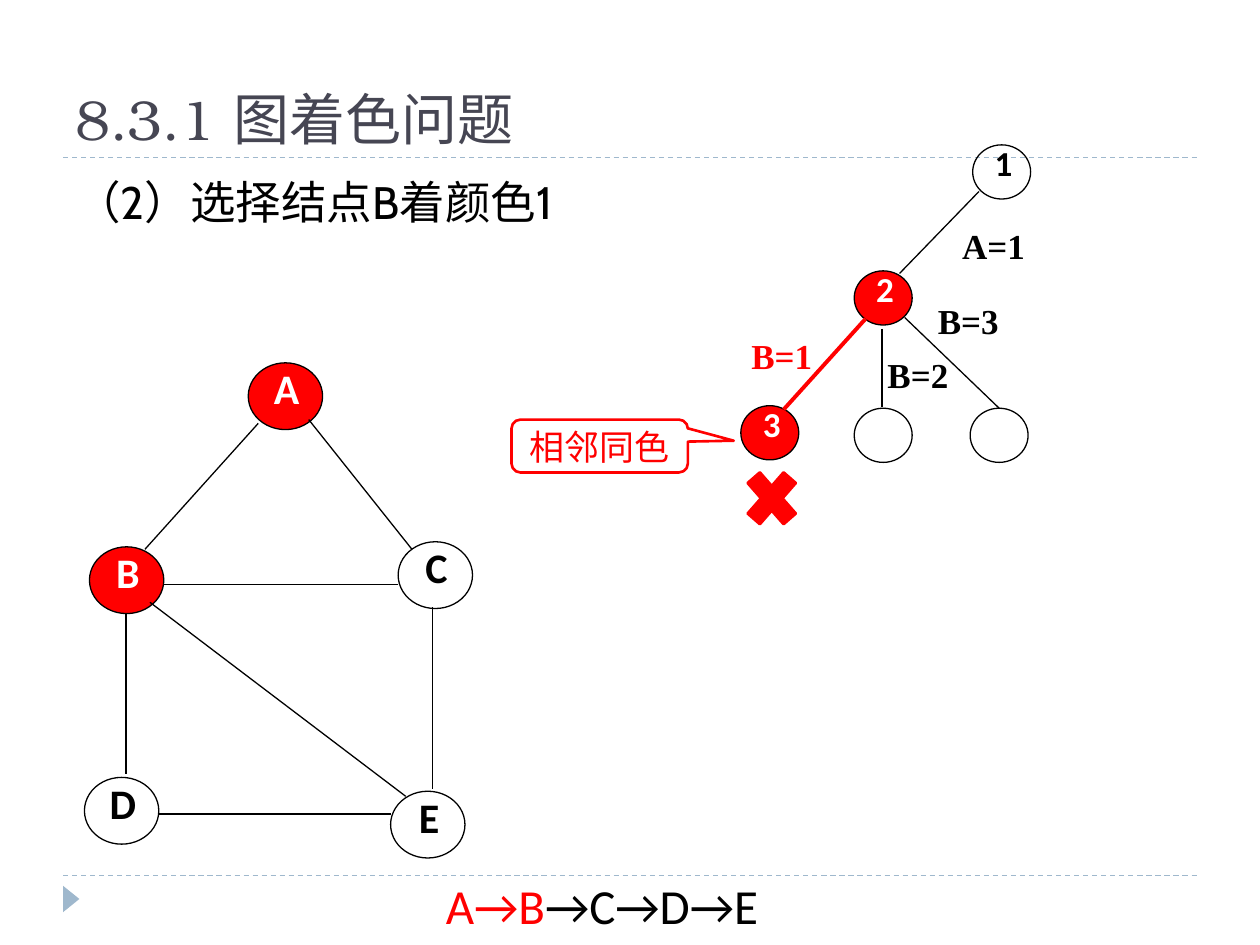
"""Build the graph colouring slide: a five-node graph beside its search tree."""
import pptx
import pptx.dml.color
import pptx.enum.dml
import pptx.enum.shapes
import pptx.enum.text
import pptx.oxml
import pptx.oxml.ns
import pptx.util

Inches = pptx.util.Inches
Pt = pptx.util.Pt
RGBColor = pptx.dml.color.RGBColor
Shape = pptx.enum.shapes.MSO_SHAPE
Anchor = pptx.enum.text.MSO_ANCHOR
Align = pptx.enum.text.PP_ALIGN

BLACK = RGBColor(0, 0, 0)
WHITE = RGBColor(255, 255, 255)
RED = RGBColor(255, 0, 0)
SLATE = RGBColor(0x46, 0x46, 0x53)
MIST = RGBColor(0x9F, 0xB8, 0xCD)


class Painter:
    def __init__(self, page):
        self.page = page
        self.heading_font = "TeX Gyre Bonum"
        self.body_font = "Cabin"
        self.node_font = "Calibri"
        self.label_font = "Times New Roman"

    def line(self, start, end, color=BLACK, width=0.75, dashed=False):
        ends = [Inches(value) for value in (*start, *end)]
        link = self.page.shapes.add_connector(
            pptx.enum.shapes.MSO_CONNECTOR.STRAIGHT, *ends)
        link.line.color.rgb = color
        link.line.width = Pt(width)
        if dashed:
            link.line.dash_style = pptx.enum.dml.MSO_LINE.DASH
        properties = link._element.spPr
        properties.append(properties.makeelement(pptx.oxml.ns.qn("a:effectLst"), {}))

    def shape(self, kind, frame, fill=None, line=None, width=0.75):
        item = self.page.shapes.add_shape(kind, *[Inches(value) for value in frame])
        item.shadow.inherit = False
        if fill is None:
            item.fill.background()
        else:
            item.fill.solid()
            item.fill.fore_color.rgb = fill
        if line is None:
            item.line.fill.background()
        else:
            item.line.color.rgb = line
            item.line.width = Pt(width)
        return item

    def fill_text(self, box, text, size, font, color, bold=False, align=Align.LEFT,
                  spacing=None, anchor=Anchor.TOP, insets=None, wrap=True):
        frame = box.text_frame
        frame.word_wrap = wrap
        frame.vertical_anchor = anchor
        if insets is not None:
            frame.margin_left = Inches(insets)
            frame.margin_top = frame.margin_right = frame.margin_bottom = 0
        frame.text = text
        para = frame.paragraphs[0]
        para.alignment = align
        if spacing:
            para.line_spacing = spacing
        for span in para.runs:
            self.style(span, size, font, color, bold)
        return para

    def style(self, span, size, font, color, bold=False):
        span.font.size = Pt(size)
        span.font.name = font
        span.font.bold = bold
        span.font.color.rgb = color

    def text(self, frame, text, size, font, color, **options):
        box = self.page.shapes.add_textbox(*[Inches(value) for value in frame])
        return self.fill_text(box, text, size, font, color, **options)

    def node(self, position, size, text="", visited=False, points=24, spacing=0.8,
             inset=0.02):
        circle = self.shape(Shape.OVAL, (*position, *size),
                            RED if visited else None, BLACK)
        if text:
            self.fill_text(circle, text, points, self.node_font,
                           WHITE if visited else BLACK, bold=True,
                           align=Align.CENTER, spacing=spacing, insets=inset)

    def edge_label(self, position, text, color=BLACK):
        self.text((*position, 0.65, 0.37), text, 20, self.label_font, color,
                  bold=True, align=Align.CENTER, spacing=0.8, insets=0)

    def callout(self, frame, text, adjustments):
        bubble = self.shape(Shape.ROUNDED_RECTANGULAR_CALLOUT, frame, WHITE, RED, 1.5)
        for index, value in enumerate(adjustments):
            bubble.adjustments[index] = value
        self.fill_text(bubble, text, 20, self.body_font, RED, align=Align.CENTER,
                       anchor=Anchor.MIDDLE)


def draw_frame(painter):
    for height in (6.95, 1.25):
        painter.line((0.5, height), (9.5, height), MIST, dashed=True)
    marker = painter.shape(Shape.ISOSCELES_TRIANGLE, (0.46, 7.07, 0.21, 0.13), MIST)
    marker.rotation = 90
    painter.text((0.5, 0.17, 9, 1.08), "8.3.1 图着色问题", 32,
                 painter.heading_font, SLATE, anchor=Anchor.BOTTOM)
    painter.text((0.5, 1.33, 9, 5.4), "（2）选择结点B着颜色1", 26,
                 painter.body_font, BLACK)


def draw_graph(painter):
    nodes = {"A": (1.97, 2.88), "C": (3.16, 4.3), "B": (0.71, 4.34),
             "D": (0.67, 6.17), "E": (3.1, 6.28)}
    for name, position in nodes.items():
        painter.node(position, (0.59, 0.53), name, visited=name in "AB")
    edges = [((2.05, 3.36), (1.15, 4.36)), ((2.45, 3.33), (3.27, 4.36)),
             ((1.3, 4.64), (3.16, 4.64)), ((1, 4.87), (1, 6.14)),
             ((3.43, 4.82), (3.43, 6.26)), ((1.26, 6.46), (3.1, 6.46)),
             ((1.19, 4.78), (3.22, 6.32))]
    for start, end in edges:
        painter.line(start, end)


def draw_tree(painter):
    nodes = [((7.72, 1.15), "1", False), ((6.78, 2.15), "2", True),
             ((5.88, 3.22), "3", True), ((6.78, 3.24), "", False),
             ((7.7, 3.24), "", False)]
    for position, name, visited in nodes:
        painter.node(position, (0.46, 0.43), name, visited, 20, 0.72, 0.03)
    branches = [((7.77, 1.52), (7.14, 2.17), BLACK, 0.75),
                ((6.87, 2.53), (6.22, 3.25), RED, 2.25),
                ((7, 2.61), (7, 3.23), BLACK, 0.75),
                ((7.18, 2.52), (7.93, 3.24), BLACK, 0.75)]
    for branch in branches:
        painter.line(*branch)
    labels = [((7.56, 1.85), "A=1", BLACK), ((6.96, 2.87), "B=2", BLACK),
              ((5.88, 2.72), "B=1", RED), ((7.36, 2.44), "B=3", BLACK)]
    for label in labels:
        painter.edge_label(*label)
    painter.shape(Shape.MATH_MULTIPLY, (5.85, 3.64, 0.55, 0.63), RED, RED, 1.5)
    painter.callout((4.06, 3.33, 1.4, 0.42), "相邻同色", (0.76, -0.1, 0.17))


def draw_order(painter):
    para = painter.text((3.44, 6.9, 2.87, 0.57), "A→B", 28, painter.node_font, RED,
                        wrap=False)
    rest = para.add_run()
    rest.text = "→C→D→E"
    painter.style(rest, 28, painter.node_font, BLACK)


def main():
    deck = pptx.Presentation()
    deck.slide_width = Inches(10)
    deck.slide_height = Inches(7.5)
    painter = Painter(deck.slides.add_slide(deck.slide_layouts[6]))
    draw_frame(painter)
    draw_graph(painter)
    draw_tree(painter)
    draw_order(painter)
    deck.save("out.pptx")


if __name__ == "__main__":
    main()
